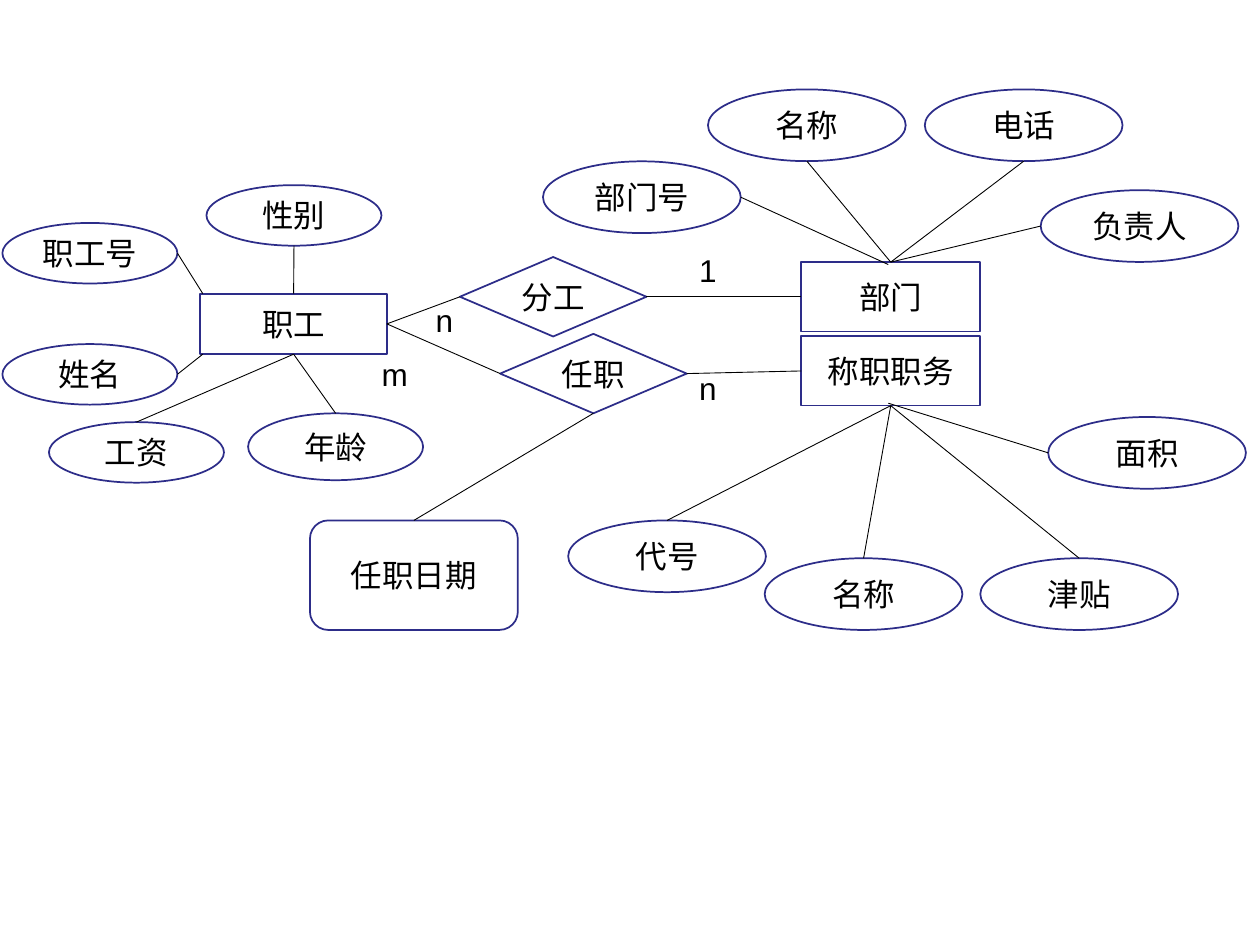
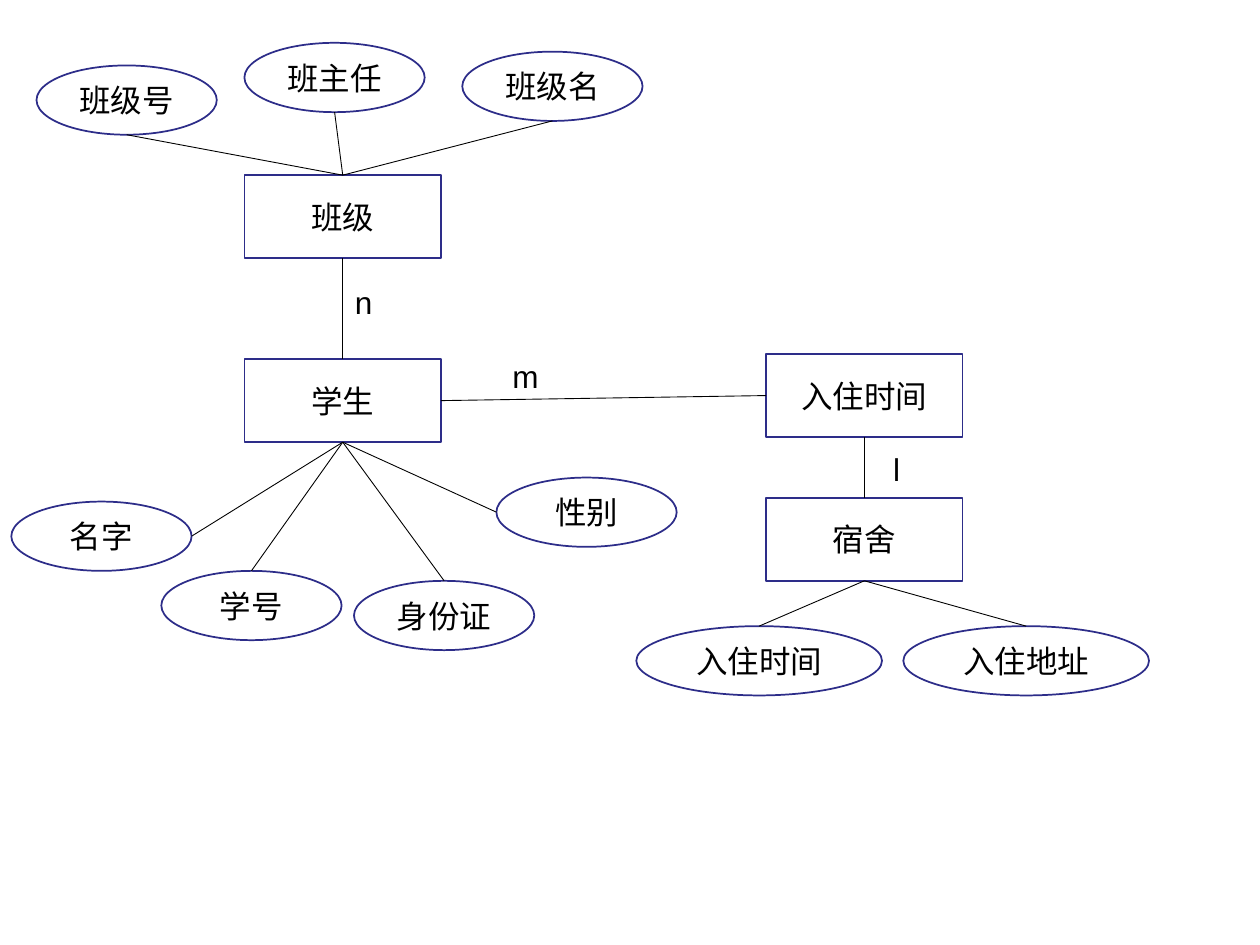
"""Build two entity-relation diagrams: staff and departments, classes and dorms."""
from dataclasses import dataclass
from lxml import etree
from pptx import Presentation
from pptx.dml.color import RGBColor
from pptx.enum import shapes, text
from pptx.oxml import ns
from pptx.util import Pt

KIND = shapes.MSO_SHAPE
TOP, LEFT, BOTTOM, RIGHT = range(4)


@dataclass(frozen=True)
class Theme:
    ink: RGBColor = RGBColor(0, 0, 0)
    edge: RGBColor = RGBColor(0x2D, 0x2D, 0x89)
    paper: RGBColor = RGBColor(255, 255, 255)
    font: str = "Arial"
    size: float = 18
    border: float = 1
    wire: float = 0.5


class Board:
    def __init__(self, deck, theme):
        self.deck, self.theme, self.slide = deck, theme, None

    def start(self):
        self.slide = self.deck.slides.add_slide(self.deck.slide_layouts[6])

    def letter(self, shape, words, align):
        para = shape.text_frame.paragraphs[0]
        para.text, para.alignment = words, align
        para.font.name, para.font.size = self.theme.font, Pt(self.theme.size)
        para.font.color.rgb = self.theme.ink

    def node(self, kind, words, spot, size):
        shape = self.slide.shapes.add_shape(kind, *map(Pt, spot + size))
        shape.shadow.inherit = False
        shape.fill.solid()
        shape.fill.fore_color.rgb = self.theme.paper
        shape.line.color.rgb = self.theme.edge
        shape.line.width = Pt(self.theme.border)
        shape.text_frame.vertical_anchor = text.MSO_ANCHOR.MIDDLE
        self.letter(shape, words, text.PP_ALIGN.CENTER)
        return shape

    def box(self, words, spot, size):
        return self.node(KIND.RECTANGLE, words, spot, size)

    def oval(self, words, spot, size):
        return self.node(KIND.OVAL, words, spot, size)

    def label(self, words, spot):
        shape = self.slide.shapes.add_textbox(*map(Pt, spot + (28, 29)))
        shape.text_frame.word_wrap = True
        shape.text_frame.auto_size = text.MSO_AUTO_SIZE.SHAPE_TO_FIT_TEXT
        self.letter(shape, words, text.PP_ALIGN.LEFT)

    def point(self, shape, side):
        across = {LEFT: 0, RIGHT: 2}.get(side, 1)
        down = {TOP: 0, BOTTOM: 2}.get(side, 1)
        return (shape.left + shape.width * across // 2,
                shape.top + shape.height * down // 2)

    def link(self, head, tail):
        """Join two (shape, side) ends; ovals are met by place alone."""
        wire = self.slide.shapes.add_connector(
            shapes.MSO_CONNECTOR.STRAIGHT, *self.point(*head), *self.point(*tail))
        for join, (shape, side) in ((wire.begin_connect, head), (wire.end_connect, tail)):
            if shape.auto_shape_type != KIND.OVAL:
                join(shape, side)
        self.trim(wire)

    def reach(self, head, spot):
        """Draw a line from a (shape, side) end to a free point."""
        self.trim(self.slide.shapes.add_connector(
            shapes.MSO_CONNECTOR.STRAIGHT, *self.point(*head), *map(Pt, spot)))

    def trim(self, wire):
        wire.line.color.rgb = self.theme.ink
        wire.line.width = Pt(self.theme.wire)
        etree.SubElement(wire._element.spPr, ns.qn("a:effectLst"))

    def fan(self, hub, side, traits, size):
        """Place ovals given as (words, spot, side) and tie each to one hub side."""
        for words, spot, end in traits:
            self.link((self.oval(words, spot, size), end), (hub, side))

    def stray(self, traits, size):
        """Place ovals given as (words, spot, side, target) with free line ends."""
        for words, spot, end, target in traits:
            self.reach((self.oval(words, spot, size), end), target)


def staff(board):
    """Draw staff, departments and posts."""
    board.start()
    small, large = (100, 34.6), (113, 41)
    unit, rhomb = (102.2, 39.6), (106.6, 45.4)
    worker = board.box("职工", (114.5, 167.8), (106.6, 34.6))
    dept = board.box("部门", (457.9, 149.8), unit)
    post = board.box("称职职务", (457.9, 192.2), unit)
    duty = board.node(KIND.FLOWCHART_DECISION, "分工", (262.8, 146.9), rhomb)
    term = board.node(KIND.FLOWCHART_DECISION, "任职", (285.8, 190.8), rhomb)
    date = board.node(KIND.ROUNDED_RECTANGLE, "任职日期", (177.1, 297.4), (118.8, 62.6))

    board.stray([("职工号", (1.4, 127.4), RIGHT, (115.9, 167.8)),
                 ("姓名", (1.4, 196.6), RIGHT, (115.9, 202.4))], small)
    board.fan(worker, TOP, [("性别", (118, 105.8), BOTTOM)], small)
    board.fan(worker, BOTTOM, [("工资", (28, 241.2), TOP)], small)
    board.fan(worker, BOTTOM, [("年龄", (141.8, 236.2), TOP)], (100, 38.2))
    board.stray([("部门号", (310.3, 92.2), RIGHT, (507.6, 151.2)),
                 ("面积", (599, 238.3), LEFT, (507.6, 230.4))], large)
    board.fan(dept, TOP, [("名称", (404.6, 51.1), BOTTOM),
                          ("电话", (528.5, 51.1), BOTTOM),
                          ("负责人", (594.7, 108.7), LEFT)], large)
    board.fan(post, BOTTOM, [("代号", (324.7, 297.4), TOP),
                             ("名称", (437, 319), TOP),
                             ("津贴", (560.2, 319), TOP)], large)

    for bond, goal in ((duty, dept), (term, post)):
        board.link((worker, RIGHT), (bond, LEFT))
        board.link((bond, RIGHT), (goal, LEFT))
    board.link((term, BOTTOM), (date, TOP))
    for words, spot in (("m", (211, 199.4)), ("1", (392.4, 139.7)),
                        ("n", (241.9, 168.5)), ("n", (392.4, 207.4))):
        board.label(words, spot)


def school(board):
    """Draw classes, students and dorms."""
    board.start()
    unit, small, wide = (112.3, 47.5), (103, 39.6), (140.4, 39.6)
    group = board.box("班级", (139.7, 100.1), unit)
    pupil = board.box("学生", (139.7, 205.2), unit)
    stay = board.box("入住时间", (437.8, 202.3), unit)
    dorm = board.box("宿舍", (437.8, 284.4), unit)

    board.fan(group, TOP, [("班级号", (20.9, 37.4), BOTTOM),
                           ("班主任", (139.7, 24.5), BOTTOM),
                           ("班级名", (264.2, 29.5), BOTTOM)], small)
    board.fan(pupil, BOTTOM, [("名字", (6.5, 286.6), RIGHT),
                              ("学号", (92.2, 326.2), TOP),
                              ("身份证", (202.3, 331.9), TOP),
                              ("性别", (283.7, 272.9), LEFT)], small)
    board.fan(dorm, BOTTOM, [("入住时间", (363.6, 357.8), TOP),
                             ("入住地址", (516.2, 357.8), TOP)], wide)

    board.link((group, BOTTOM), (pupil, TOP))
    board.link((pupil, RIGHT), (stay, LEFT))
    board.link((stay, BOTTOM), (dorm, TOP))
    for words, spot in (("n", (195.8, 158.4)), ("m", (285.8, 200.2)),
                        ("l", (503.3, 253.4))):
        board.label(words, spot)


def main():
    deck = Presentation()
    deck.slide_width, deck.slide_height = Pt(720), Pt(540)
    board = Board(deck, Theme())
    staff(board)
    school(board)
    deck.save("out.pptx")


if __name__ == "__main__":
    main()
